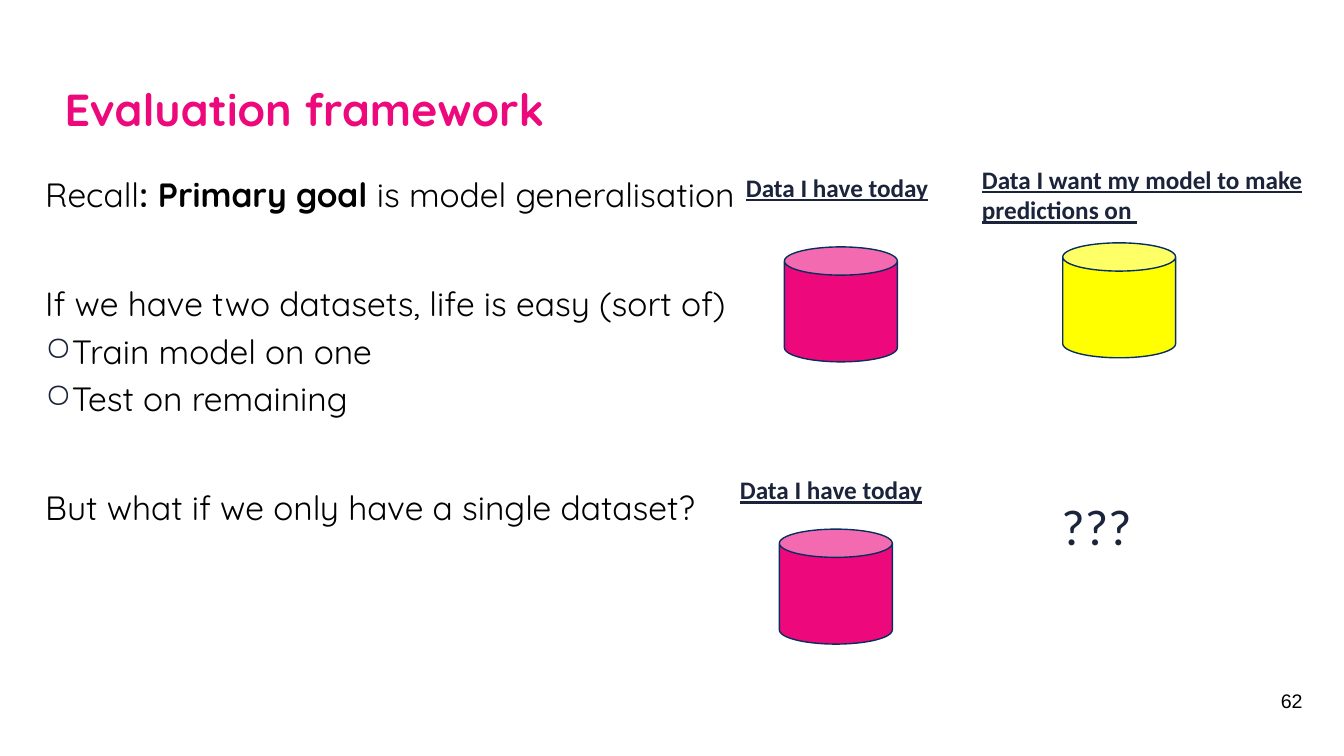
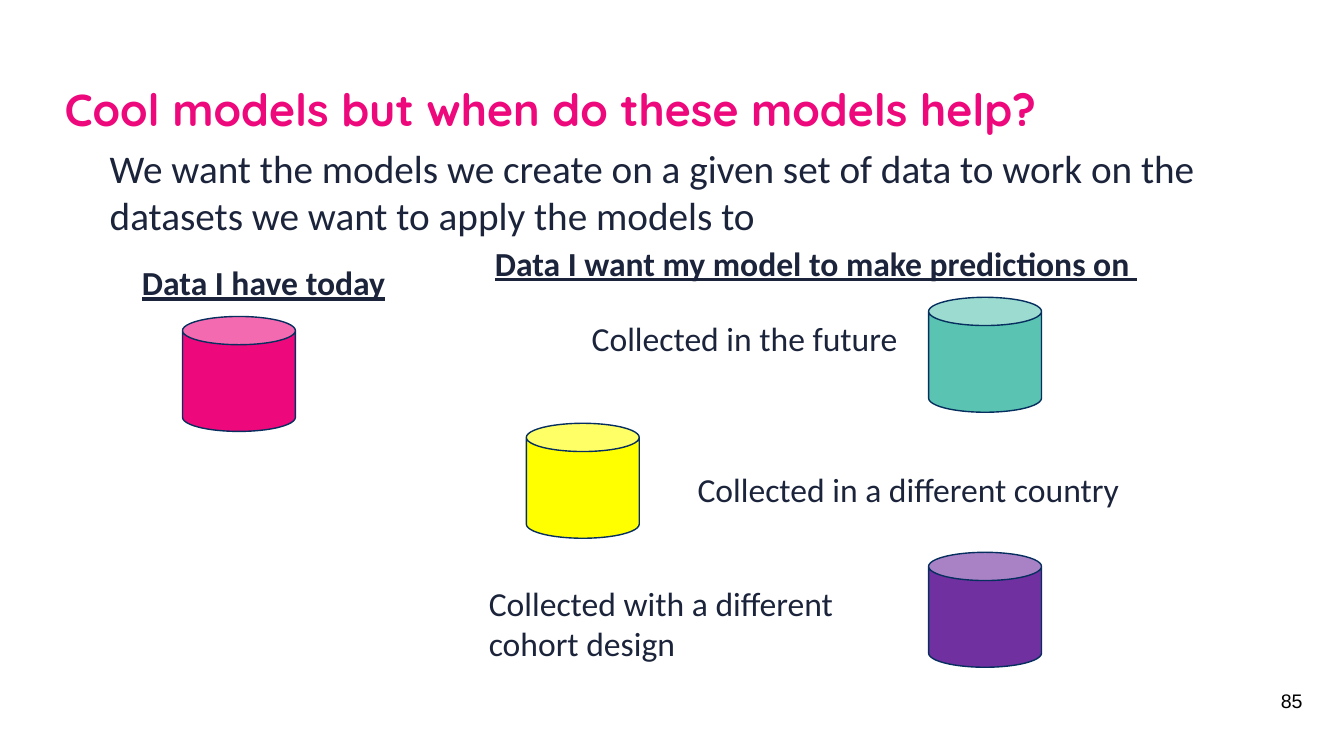
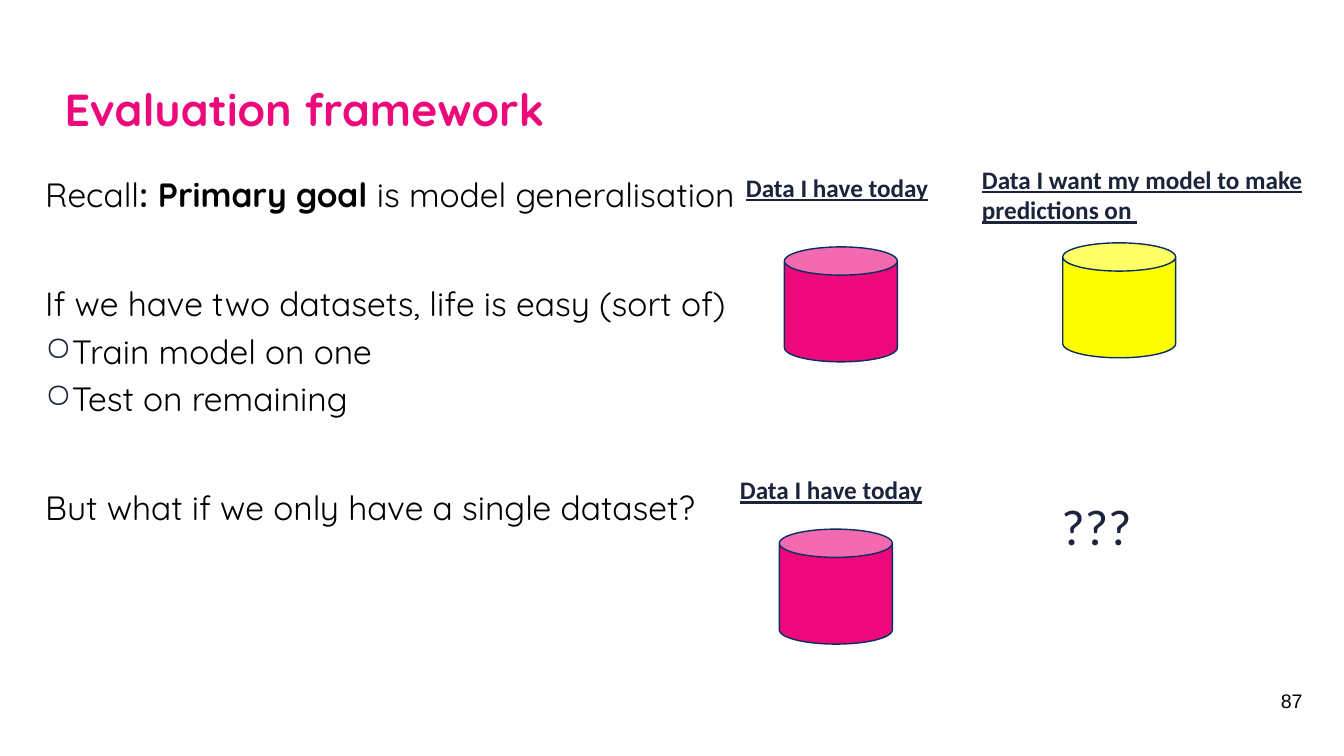
import pptx
import pptx.util
import pptx.dml.color
import pptx.enum.shapes
import pptx.enum.text
import lxml.etree

Inches = pptx.util.Inches
Pt = pptx.util.Pt
ALIGN = pptx.enum.text.PP_ALIGN
ANCHOR = pptx.enum.text.MSO_ANCHOR

HUES = {
    "pink": "ED087C",
    "yellow": "FFFF00",
    "teal": "5AC3B1",
    "purple": "7030A0",
    "navy": "062F5F",
    "ink": "1B243B",
    "black": "000000",
}
TODAY = "Data I have today"
FUTURE = "Data I want my model to make predictions on "


def text(box, words, size=24, font="Calibri", hue="ink", bold=False, line=False,
         align=ALIGN.LEFT, anchor=ANCHOR.TOP, gap=0, lead=None, dot=None):
    frame = box.text_frame
    frame.word_wrap = True
    frame.auto_size = pptx.enum.text.MSO_AUTO_SIZE.NONE
    frame.vertical_anchor = anchor
    para = frame.add_paragraph() if frame.text else frame.paragraphs[0]
    para.alignment = align
    para.space_before = Pt(gap)
    if lead:
        para.line_spacing = lead
    if dot:
        props = para._p.get_or_add_pPr()
        props.set("marL", str(Inches(0.24)))
        props.set("indent", str(Inches(-0.24)))
        space = "{http://schemas.openxmlformats.org/drawingml/2006/main}"
        tint = lxml.etree.SubElement(props, space + "buClr")
        lxml.etree.SubElement(tint, space + "srgbClr", val=HUES["ink"])
        lxml.etree.SubElement(props, space + "buChar", char=dot)
    runs = [(words, bold)] if isinstance(words, str) else words
    for part, heavy in runs:
        run = para.add_run()
        run.text = part
        run.font.size = Pt(size)
        run.font.name = font
        run.font.bold = heavy
        run.font.underline = line
        run.font.color.rgb = pptx.dml.color.RGBColor.from_string(HUES[hue])


def can(slide, left, top, hue):
    shape = slide.shapes.add_shape(
        pptx.enum.shapes.MSO_SHAPE.CAN,
        Inches(left), Inches(top), Inches(1.12), Inches(1.14))
    shape.shadow.inherit = False
    shape.fill.solid()
    shape.fill.fore_color.rgb = pptx.dml.color.RGBColor.from_string(HUES[hue])
    shape.line.color.rgb = pptx.dml.color.RGBColor.from_string(HUES["navy"])
    shape.line.width = Pt(1)


deck = pptx.Presentation()
deck.slide_width = Inches(13.33)
deck.slide_height = Inches(7.5)

frameset = {
    "title": "Evaluation framework",
    "labels": [
        (TODAY, 7.3, 1.66, 2.03, 0.4, {"size": 18, "bold": True, "line": True}),
        (FUTURE, 9.64, 1.58, 3.78, 0.71, {"size": 18, "bold": True, "line": True}),
        (TODAY, 7.24, 4.66, 2.03, 0.4, {"size": 18, "bold": True, "line": True}),
        ("???", 10.43, 4.86, 0.9, 0.71, {"size": 36}),
    ],
    "cans": [(7.78, 2.45, "pink"), (10.54, 2.41, "yellow"), (7.73, 5.25, "pink")],
    "body": [
        ([("Recall", False), (": Primary goal ", True),
          ("is model generalisation", False)], 0, None),
        ("If we have two datasets, life is easy (sort of)", 49, None),
        ("Train model on one", 5, "○"),
        ("Test on remaining", 5, "○"),
        ("But what if we only have a single dataset?", 49, None),
    ],
}
models = {
    "title": "Cool models but when do these models help?",
    "labels": [
        (TODAY, 1.31, 2.55, 2.64, 0.5, {"bold": True, "line": True}),
        (FUTURE, 4.81, 2.36, 6.63, 0.5, {"bold": True, "line": True}),
        ("Collected in the future", 5.77, 3.1, 3.27, 0.5, {}),
        ("Collected in a different country", 6.82, 4.6, 4.43, 0.5, {}),
        ("Collected with a different cohort design", 4.75, 5.73, 4.46, 0.91, {}),
        ("We want the models we create on a given set of data to work on the "
         "datasets we want to apply the models to", 0.99, 1.38, 11.66, 1.04,
         {"size": 28}),
    ],
    "cans": [(1.81, 3.14, "pink"), (9.21, 2.95, "teal"),
             (5.22, 4.2, "yellow"), (9.21, 5.48, "purple")],
    "body": [],
}

for page, plan in [(62, frameset), (85, models), (87, frameset)]:
    slide = deck.slides.add_slide(deck.slide_layouts[5])
    title = slide.shapes.title
    title.left, title.top = Inches(0.54), Inches(0.43)
    title.width, title.height = Inches(12.48), Inches(0.97)
    text(title, plan["title"], size=32, font="Quicksand", hue="pink",
         bold=True, anchor=ANCHOR.BOTTOM, lead=0.9)

    if plan["body"]:
        body = slide.shapes.add_textbox(
            Inches(0.35), Inches(1.68), Inches(12.48), Inches(4.79))
        for words, gap, dot in plan["body"]:
            text(body, words, font="Quicksand", hue="black", gap=gap, dot=dot)

    for left, top, hue in plan["cans"]:
        can(slide, left, top, hue)

    for words, left, top, width, height, style in plan["labels"]:
        label = slide.shapes.add_textbox(
            Inches(left), Inches(top), Inches(width), Inches(height))
        text(label, words, **style)

    number = slide.shapes.add_textbox(
        Inches(11.99), Inches(6.75), Inches(0.93), Inches(0.4))
    number.text_frame.margin_right = 0
    text(number, str(page), size=14, font="Arial", hue="black",
         align=ALIGN.RIGHT, anchor=ANCHOR.MIDDLE)

deck.save("out.pptx")
